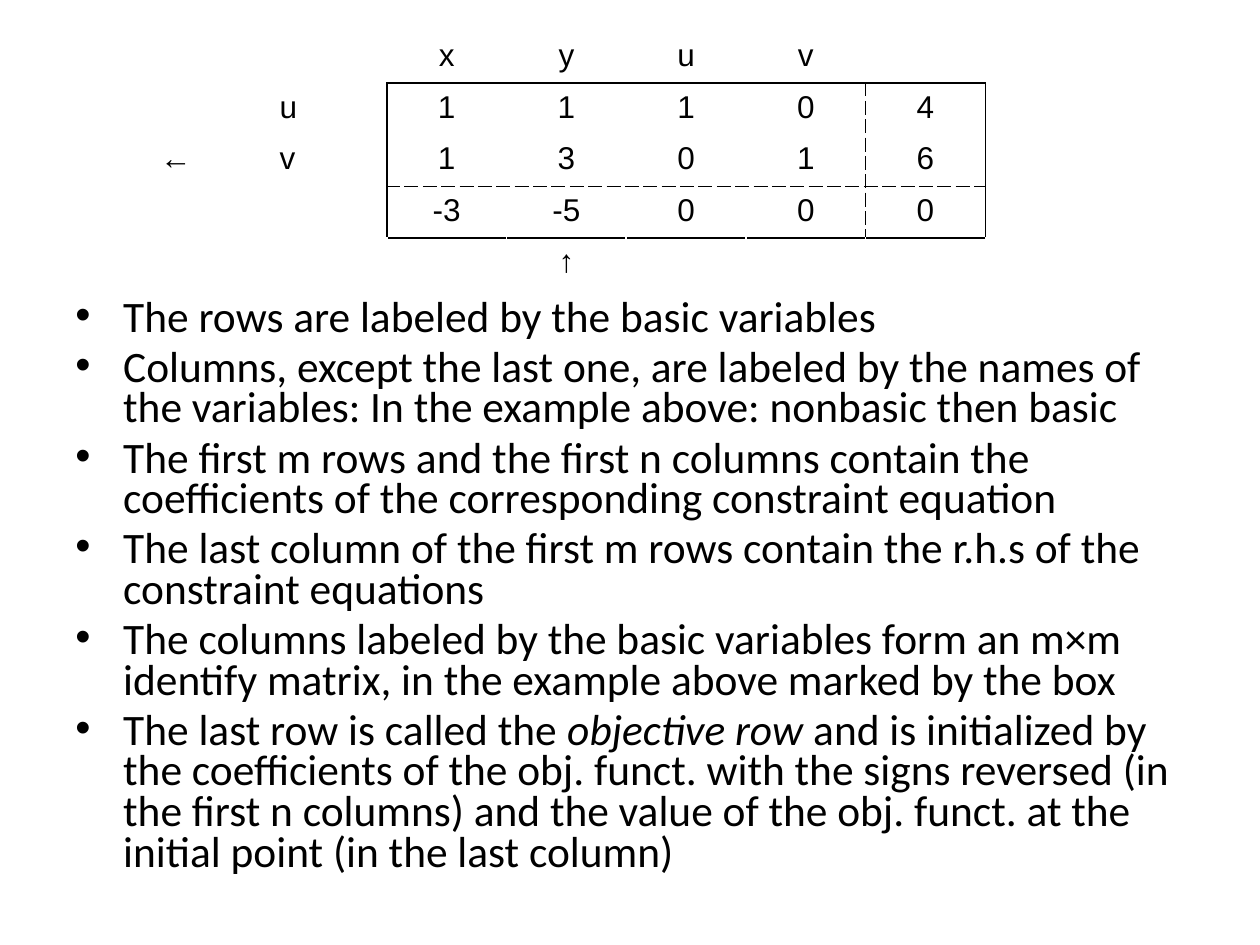
from dataclasses import dataclass
from typing import NamedTuple

from lxml import etree
from pptx import Presentation
from pptx.dml.color import RGBColor
from pptx.enum.text import PP_ALIGN
from pptx.oxml.ns import qn
from pptx.util import Inches, Pt

CENTER = PP_ALIGN.CENTER
LEFT = PP_ALIGN.LEFT


@dataclass(frozen=True)
class Theme:
    ink: str = "000000"
    paper: str = "FFFFFF"
    table_font: str = "Arial"
    body_font: str = "Calibri"
    table_size: float = 18
    body_size: float = 24.8
    line_width: float = 1


class Span(NamedTuple):
    text: str
    italic: bool = False


class Edge(NamedTuple):
    color: str
    dash: str = "solid"


THEME = Theme()
SOLID = Edge(THEME.ink)
DASHED = Edge(THEME.ink, "dash")
BLANK = Edge(THEME.paper)

TABLEAU = [
    ["", "", "x", "y", "u", "v", ""],
    ["", "u", "1", "1", "1", "0", "4"],
    ["←", "v", "1", "3", "0", "1", "6"],
    ["", "", "-3", "-5", "0", "0", "0"],
    ["", "", "", "↑", "", "", ""],
]
LABEL_COLUMNS = 2
BOX_ROWS = range(1, 4)
VERTICAL_RULES = {2: SOLID, 6: DASHED, 7: SOLID}
HORIZONTAL_RULES = {1: SOLID, 3: DASHED, 4: SOLID}

BULLETS = [
    [Span("The rows are labeled by the basic variables")],
    [Span("Columns, except the last one, are labeled by the names of the variables: "
          "In the example above: nonbasic then basic")],
    [Span("The first m rows and the first n columns contain the coefficients of the "
          "corresponding constraint equation")],
    [Span("The last column of the first m rows contain the r.h.s of the constraint equations")],
    [Span("The columns labeled by the basic variables form an m×m identify matrix, "
          "in the example above marked by the box")],
    [Span("The last row is called the "),
     Span("objective row ", italic=True),
     Span("and is initialized by the coefficients of the obj. funct. with the signs reversed "
          "(in the first n columns) and the value of the obj. funct. at the initial point "
          "(in the last column)")],
]


def add_span(para, span: Span, font: str, size: float) -> None:
    """Append one styled run to a paragraph."""
    run = para.add_run()
    run.text = span.text
    run.font.name = font
    run.font.size = Pt(size)
    run.font.italic = span.italic
    run.font.color.rgb = RGBColor.from_string(THEME.ink)


def vertical_edge(row: int, line: int) -> Edge | None:
    """Return the rule on a vertical grid line beside a row."""
    if row in BOX_ROWS:
        return VERTICAL_RULES.get(line)
    return BLANK if row == BOX_ROWS.stop and line >= LABEL_COLUMNS else None


def horizontal_edge(line: int, column: int) -> Edge | None:
    """Return the rule on a horizontal grid line across a column."""
    return HORIZONTAL_RULES.get(line) if column >= LABEL_COLUMNS else None


def set_edges(cell, row: int, column: int) -> None:
    """Draw the four borders of a cell ahead of its fill."""
    edges = {
        "a:lnL": vertical_edge(row, column),
        "a:lnR": vertical_edge(row, column + 1),
        "a:lnT": horizontal_edge(row, column),
        "a:lnB": horizontal_edge(row + 1, column),
    }
    properties = cell._tc.get_or_add_tcPr()
    for index, (tag, edge) in enumerate(edges.items()):
        border = etree.Element(qn(tag), w=str(Pt(THEME.line_width)))
        properties.insert(index, border)
        if edge is None:
            etree.SubElement(border, qn("a:noFill"))
            continue
        fill = etree.SubElement(border, qn("a:solidFill"))
        etree.SubElement(fill, qn("a:srgbClr"), val=edge.color)
        etree.SubElement(border, qn("a:prstDash"), val=edge.dash)


def add_tableau(page) -> None:
    """Add the simplex tableau with its boxed coefficients."""
    rows, columns = len(TABLEAU), len(TABLEAU[0])
    frame = page.shapes.add_table(rows, columns, Inches(1.17), Inches(0.25),
                                  Inches(6.65), Inches(1.96))
    table = frame.table
    table.first_row = False
    table.horz_banding = False
    for column in table.columns:
        column.width = Inches(0.95)
    for index, row in enumerate(table.rows):
        row.height = Inches(0.32 if index == rows - 1 else 0.41)
    for row, values in enumerate(TABLEAU):
        for column, value in enumerate(values):
            cell = table.cell(row, column)
            cell.fill.background()
            set_edges(cell, row, column)
            para = cell.text_frame.paragraphs[0]
            para.alignment = LEFT if column < LABEL_COLUMNS else CENTER
            para.font.size = Pt(THEME.table_size)
            if value:
                add_span(para, Span(value), THEME.table_font, THEME.table_size)


def add_bullets(page) -> None:
    """Add the bulleted explanation under the tableau."""
    box = page.shapes.add_textbox(Inches(0.5), Inches(2.33), Inches(9), Inches(4.92))
    frame = box.text_frame
    frame.word_wrap = True
    for index, spans in enumerate(BULLETS):
        para = frame.add_paragraph() if index else frame.paragraphs[0]
        para.line_spacing = 0.78
        para.space_before = Pt(5.4 if index else 0)
        properties = para._p.get_or_add_pPr()
        properties.set("marL", str(Inches(0.38)))
        properties.set("indent", str(Inches(-0.38)))
        etree.SubElement(properties, qn("a:buFont"), typeface=THEME.table_font)
        etree.SubElement(properties, qn("a:buChar"), char="•")
        for span in spans:
            add_span(para, span, THEME.body_font, THEME.body_size)


def main() -> None:
    """Build and save the tableau slide."""
    deck = Presentation()
    deck.slide_width, deck.slide_height = Inches(10), Inches(7.5)
    page = deck.slides.add_slide(deck.slide_layouts[6])
    add_bullets(page)
    add_tableau(page)
    deck.save("out.pptx")


if __name__ == "__main__":
    main()
